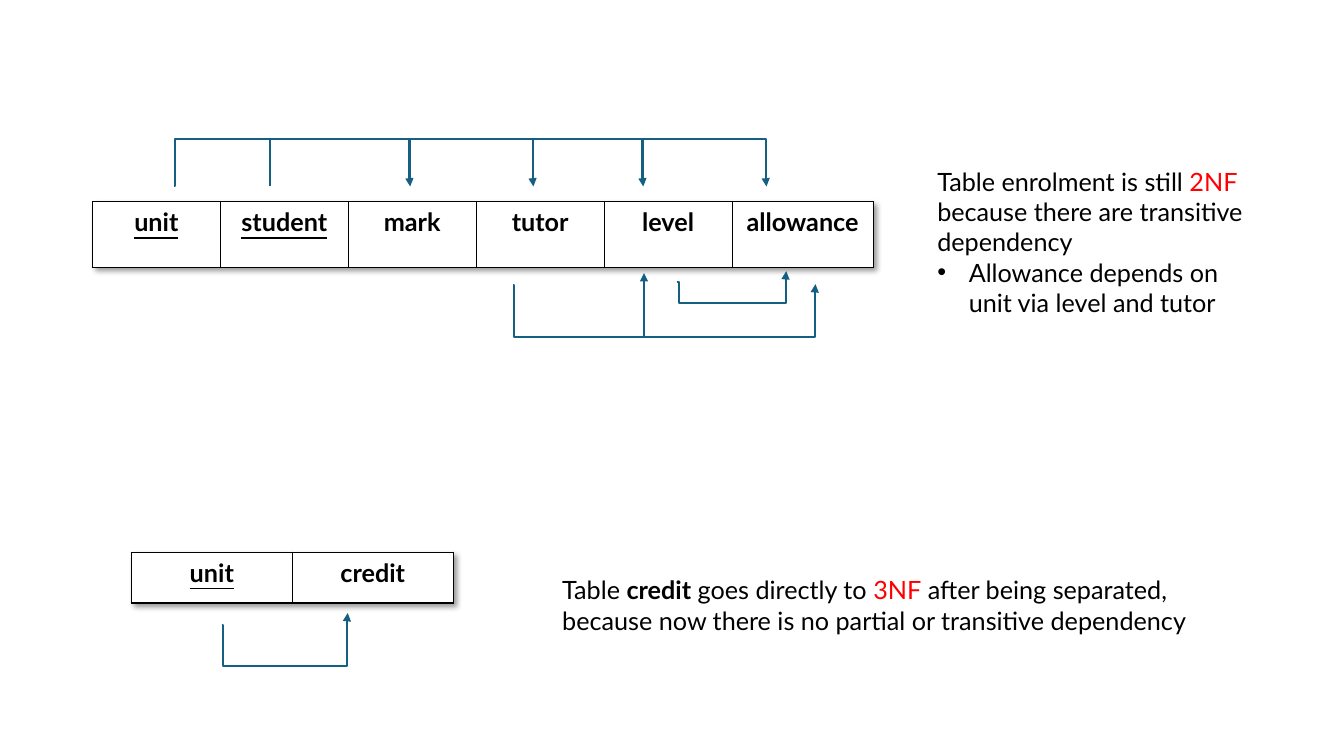
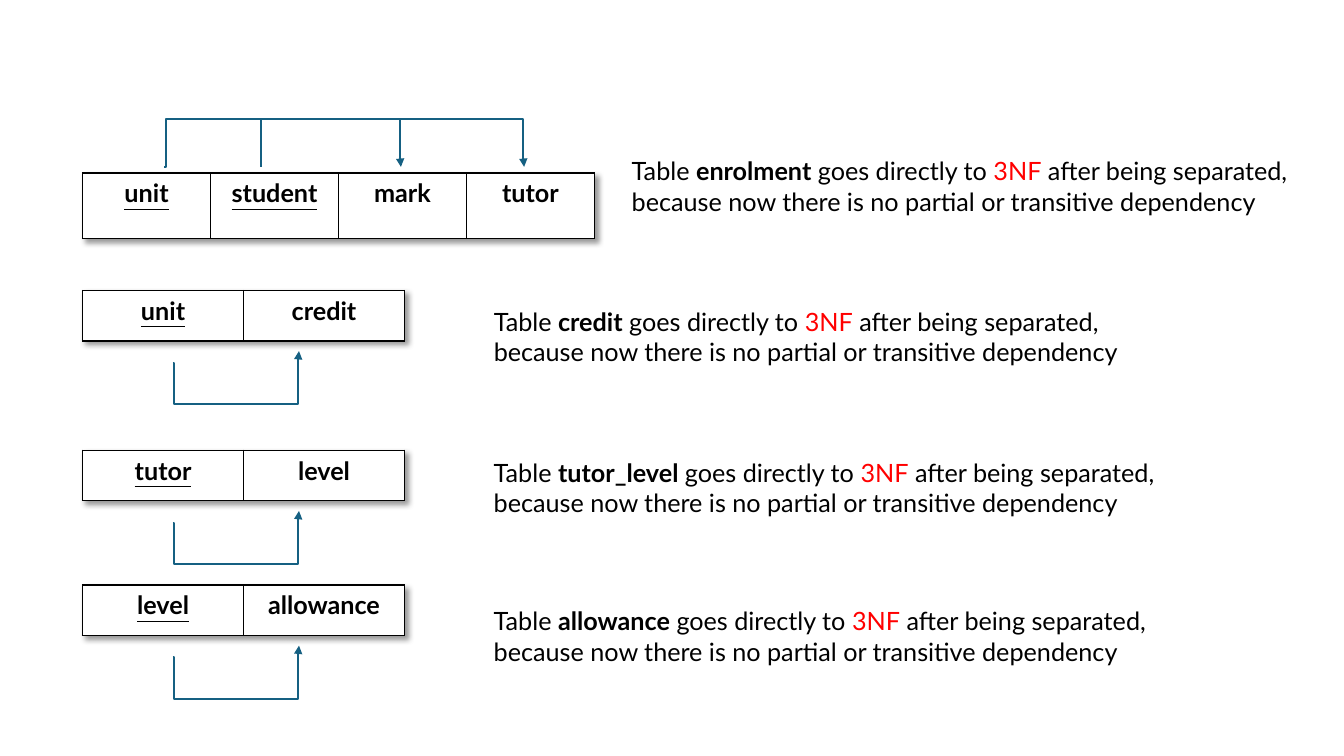
from pptx import Presentation
from pptx import util as u
from pptx.dml.color import RGBColor
from pptx.enum import shapes, text
from pptx.oxml import parse_xml
from pptx.oxml.ns import nsdecls, qn

rgb = RGBColor.from_string
BLACK, WHITE, RED, BLUE = "000000", "FFFFFF", "FF0000", "156082"
BODY = {"name": "Lato", "size": u.Pt(18)}
HEADING = {**BODY, "bold": True}
A = nsdecls("a")
SHADOW = (f'<a:effectLst {A}><a:outerShdw blurRad="50800" dist="38100" dir="2700000" algn="tl" '
          'rotWithShape="0"><a:srgbClr val="000000"><a:alpha val="40000"/></a:srgbClr>'
          '</a:outerShdw></a:effectLst>')

# Each slide: tables (left, top, row height, column widths, names, key columns)
#             key brackets (left, top, offsets of the arrows)
#             lines (kind, x1, y1, x2, y2)
#             notes (left, top, width, height, paragraphs of (text, bold, colour) runs)
COLUMN, PAIR = 91.4, [115, 115]
TABLE_ROW, PAIR_ROW = 46.8, 36.2
slides = [
    {
        "tables": [
            (66, 144, TABLE_ROW, [COLUMN] * 5 + [100.8],
             ["unit", "student", "mark", "tutor", "level", "allowance"], 2),
            (93.8, 394.5, PAIR_ROW, PAIR, ["unit", "credit"], 1),
        ],
        "brackets": [(124, 99.2, [169, 257, 335.5, 423.5])],
        "lines": [
            ("head", 514, 216.7, 561.6, 193.7),
            ("foot", 483.8, 201.6, 537.8, 216.7),
            ("head", 520.6, 240.5, 582.5, 203),
            ("foot", 366.5, 203.8, 528.5, 240.5),
            ("straight head", 460, 240.5, 460, 195.1),
        ],
        "separated": [("credit", 394.5, 407, 471.6)],
        "notes": [(662.4, 115.2, 241.2, 116.6, [
            [("Table enrolment is still ", False, BLACK), ("2NF", False, RED),
             (" because there are transitive dependency", False, BLACK)],
            [("Allowance depends on unit via level and tutor", False, BLACK)],
        ])],
    },
    {
        "tables": [
            (59, 207.4, PAIR_ROW, PAIR, ["unit", "credit"], 1),
            (59, 321.6, PAIR_ROW, PAIR, ["tutor", "level"], 1),
            (59, 417.8, PAIR_ROW, PAIR, ["level", "allowance"], 1),
            (59, 123.6, TABLE_ROW, [COLUMN] * 4, ["unit", "student", "mark", "tutor"], 2),
        ],
        "brackets": [(117.4, 85.2, [169, 257])],
        "lines": [],
        "separated": [
            ("credit", 345.6, 215.3, 471.6),
            ("enrolment", 444.2, 107.6, 487.4),
            ("tutor_level", 345.6, 322.8, 512),
            ("allowance", 345.6, 429.1, 512),
        ],
        "notes": [],
    },
]


def add_table(slide, left, top, height, widths, names, keys):
    frame = slide.shapes.add_table(1, len(names), u.Pt(left), u.Pt(top),
                                   u.Pt(sum(widths)), u.Pt(height))
    table = frame.table
    table.first_row = table.horz_banding = False
    table._tbl.tblPr.insert(0, parse_xml(SHADOW))
    for index, (width, name) in enumerate(zip(widths, names)):
        table.columns[index].width = u.Pt(width)
        cell = table.cell(0, index)
        cell.fill.solid()
        cell.fill.fore_color.rgb = rgb(WHITE)
        for place, side in enumerate("LRTB"):
            cell._tc.tcPr.insert(place, parse_xml(
                f'<a:ln{side} {A} w="12700"><a:solidFill><a:srgbClr val="{BLACK}"/>'
                f'</a:solidFill></a:ln{side}>'))
        paragraph = cell.text_frame.paragraphs[0]
        paragraph.alignment = text.PP_ALIGN.CENTER
        run = paragraph.add_run()
        run.text = name
        for attribute, value in {**HEADING, "underline": index < keys}.items():
            setattr(run.font, attribute, value)
        run.font.color.rgb = rgb(BLACK)


def add_line(slide, kind, x1, y1, x2, y2):
    straight = kind.startswith("straight")
    connector_type = shapes.MSO_CONNECTOR.STRAIGHT if straight else shapes.MSO_CONNECTOR.ELBOW
    connector = slide.shapes.add_connector(connector_type, *map(u.Pt, (x1, y1, x2, y2)))
    connector.line.width = u.Pt(1.5)
    connector.line.color.rgb = rgb(BLUE)
    properties = connector._element.spPr
    if not straight:
        # A head turns just before its end, a foot just after its start
        turn = 1 - 0.5 / (x2 - x1) if kind == "head" else 1 / (x2 - x1)
        geometry = properties.find(qn("a:prstGeom"))
        geometry.find(qn("a:avLst")).append(parse_xml(
            f'<a:gd {A} name="adj1" fmla="val {round(turn * 100000)}"/>'))
    if kind.endswith("head"):
        properties.find(qn("a:ln")).append(parse_xml(f'<a:tailEnd {A} type="triangle"/>'))
    properties.append(parse_xml(f"<a:effectLst {A}/>"))


presentation = Presentation()
presentation.slide_width = u.Pt(960)
presentation.slide_height = u.Pt(540)

for content in slides:
    slide = presentation.slides.add_slide(presentation.slide_layouts[6])
    lines = list(content["lines"])
    notes = list(content["notes"])

    # Tables, with a dependency arrow below each pair
    for left, top, height, widths, names, keys in content["tables"]:
        add_table(slide, left, top, height, widths, names, keys)
        if len(names) == 2:
            lines.append(("head", left + 93.2, top + 81.4, left + 154.6, top + 43.4))
            lines.append(("foot", left + 64.6, top + 51.8, left + 124, top + 81.4))

    # Brackets from the two key columns to the dependent columns
    for left, top, offsets in content["brackets"]:
        bottom = top + 34
        for offset in offsets:
            lines.append(("head", left + offset - 100, top, left + offset, bottom))
        lines.append(("foot", left, bottom, left + 98.6, top))
        lines.append(("straight", left + 69, bottom, left + 69, top))

    for line in lines:
        add_line(slide, *line)

    # Notes on the separated tables share one sentence
    for name, left, top, width in content["separated"]:
        notes.append((left, top, width, 51, [[
            ("Table ", False, BLACK), (name, True, BLACK),
            (" goes directly to ", False, BLACK), ("3NF", False, RED),
            (" after being separated, because now there is no partial or transitive dependency",
             False, BLACK)]]))

    # Note text; paragraphs after the first are bulleted
    for left, top, width, height, paragraphs in notes:
        box = slide.shapes.add_textbox(*map(u.Pt, (left, top, width, height)))
        frame = box.text_frame
        frame.word_wrap = True
        frame.auto_size = text.MSO_AUTO_SIZE.SHAPE_TO_FIT_TEXT
        for index, runs in enumerate(paragraphs):
            paragraph = frame.add_paragraph() if index else frame.paragraphs[0]
            if index:
                bullet = paragraph._p.get_or_add_pPr()
                bullet.set("marL", str(u.Pt(22.5)))
                bullet.set("indent", str(-u.Pt(22.5)))
                bullet.append(parse_xml(f'<a:buFont {A} typeface="Arial"/>'))
                bullet.append(parse_xml(f'<a:buChar {A} char="•"/>'))
            for words, bold, color in runs:
                run = paragraph.add_run()
                run.text = words
                for attribute, value in {**BODY, "bold": bold}.items():
                    setattr(run.font, attribute, value)
                run.font.color.rgb = rgb(color)

presentation.save("out.pptx")
